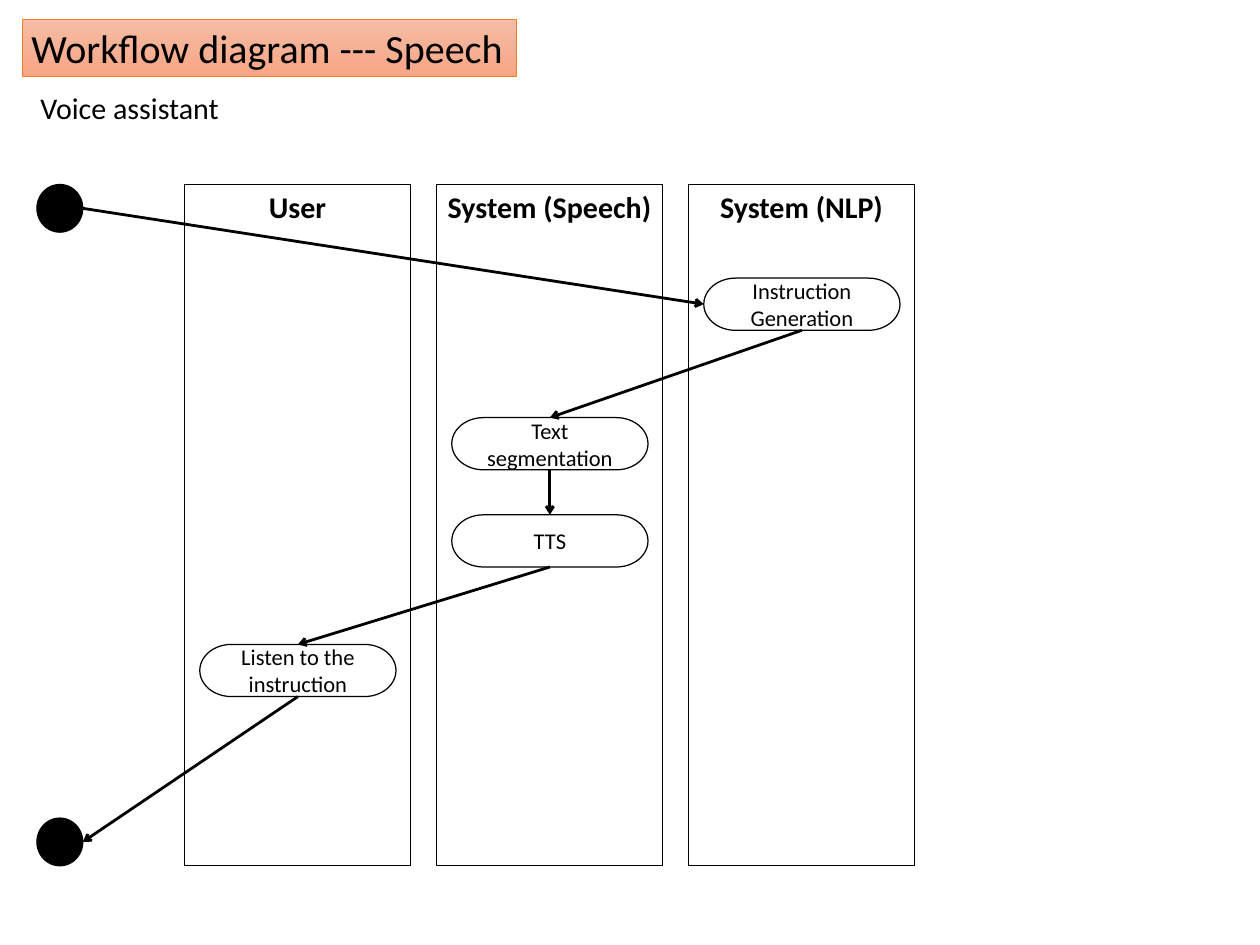
"""Builds a swimlane workflow slide for a voice assistant."""
import copy

from lxml import etree
from pptx import Presentation
from pptx.dml.color import RGBColor
from pptx.enum import shapes, text
from pptx.oxml import ns
from pptx.util import Inches, Pt

BLACK, WHITE, ORANGE = "000000", "FFFFFF", "ED7D31"
LANE_LEFT, LANE_PITCH, LANE_TOP = 2.05, 2.8, 2.05
LANE_WIDTH, LANE_HEIGHT = 2.51, 7.57
STEP_INSET, STEP_WIDTH, STEP_HEIGHT = 0.17, 2.18, 0.58
DOT_LEFT, DOT_WIDTH, DOT_HEIGHT = 0.41, 0.51, 0.53
LANES = ["User", "System (Speech)", "System (NLP)"]
STEPS = [
    (2, 3.09, "Instruction\nGeneration"),
    (1, 4.64, "Text segmentation"),
    (1, 5.72, "TTS"),
    (0, 7.16, "Listen to the instruction"),
]


def color(value):
    """Return the colour for a hex string."""
    return RGBColor.from_string(value)


def write(shape, content, size, bold=False, align=text.PP_ALIGN.CENTER,
          anchor=text.MSO_ANCHOR.TOP, wrap=True):
    """Put formatted text into a shape."""
    frame = shape.text_frame
    frame.text = content
    frame.word_wrap = wrap
    frame.vertical_anchor = anchor
    if not wrap:
        frame.auto_size = text.MSO_AUTO_SIZE.SHAPE_TO_FIT_TEXT
    for para in frame.paragraphs:
        para.alignment = align
        for span in para.runs:
            span.font.name = "Calibri"
            span.font.size = Pt(size)
            span.font.bold = bold
            span.font.color.rgb = color(BLACK)


def add_box(page, kind, left, top, width, height, fill=WHITE, line=BLACK, weight=1):
    """Add a filled and outlined preset shape without shadow."""
    box = page.shapes.add_shape(
        kind, Inches(left), Inches(top), Inches(width), Inches(height))
    box.shadow.inherit = False
    box.fill.solid()
    box.fill.fore_color.rgb = color(fill)
    box.line.color.rgb = color(line)
    box.line.width = Pt(weight)
    return box


def shade(box, start, middle, end):
    """Fill a box with a three-stop gradient from top to bottom."""
    box.fill.gradient()
    box.fill.gradient_angle = 270
    stops = box.element.spPr.find(ns.qn("a:gradFill")).find(ns.qn("a:gsLst"))
    stops.insert(1, copy.deepcopy(stops[0]))
    for stop, value, position in zip(
            box.fill.gradient_stops, (start, middle, end), (0, 0.5, 1)):
        stop.color.rgb = color(value)
        stop.position = position


def add_heading(page):
    """Add the title banner and the subtitle."""
    banner = add_box(page, shapes.MSO_SHAPE.RECTANGLE, 0.25, 0.21, 5.49, 0.64,
                     line=ORANGE, weight=0.5)
    shade(banner, "F7BDA5", "F5B196", "F8A582")
    write(banner, "Workflow diagram --- Speech", 32,
          align=text.PP_ALIGN.LEFT, wrap=False)
    subtitle = page.shapes.add_textbox(
        Inches(0.34), Inches(0.94), Inches(2.2), Inches(0.5))
    write(subtitle, "Voice assistant", 24, wrap=False)


def add_lane(page, index, name):
    """Add one swimlane with its heading."""
    lane = add_box(page, shapes.MSO_SHAPE.RECTANGLE, LANE_LEFT + index * LANE_PITCH,
                   LANE_TOP, LANE_WIDTH, LANE_HEIGHT)
    write(lane, name, 24, bold=True)


def add_dot(page, top):
    """Add a start or end dot."""
    return add_box(page, shapes.MSO_SHAPE.OVAL, DOT_LEFT, top,
                   DOT_WIDTH, DOT_HEIGHT, fill=BLACK)


def add_step(page, lane, top, label):
    """Add one activity, centred in its lane."""
    left = LANE_LEFT + lane * LANE_PITCH + STEP_INSET
    step = add_box(page, shapes.MSO_SHAPE.FLOWCHART_TERMINATOR, left, top,
                   STEP_WIDTH, STEP_HEIGHT)
    write(step, label, 18, anchor=text.MSO_ANCHOR.MIDDLE)
    return step


def point(shape, across, down):
    """Return the place at the given fractions of a shape's width and height."""
    return (int(shape.left + across * shape.width),
            int(shape.top + down * shape.height))


def add_arrow(page, start, end):
    """Add a straight arrow between two points."""
    arrow = page.shapes.add_connector(shapes.MSO_CONNECTOR.STRAIGHT, *start, *end)
    arrow.line.color.rgb = color(BLACK)
    arrow.line.width = Pt(2.25)
    outline = arrow.element.spPr.find(ns.qn("a:ln"))
    etree.SubElement(outline, ns.qn("a:tailEnd"), type="arrow")
    etree.SubElement(arrow.element.spPr, ns.qn("a:effectLst"))


def main():
    """Build and save the slide."""
    deck = Presentation()
    deck.slide_width, deck.slide_height = Inches(14), Inches(10.5)
    page = deck.slides.add_slide(deck.slide_layouts[6])
    add_heading(page)
    for index, name in enumerate(LANES):
        add_lane(page, index, name)
    first = add_dot(page, LANE_TOP)
    last = add_dot(page, LANE_TOP + LANE_HEIGHT - DOT_HEIGHT)
    steps = [add_step(page, *step) for step in STEPS]
    add_arrow(page, point(first, 1, 0.5), point(steps[0], 0, 0.5))
    for source, target in zip(steps, steps[1:]):
        add_arrow(page, point(source, 0.5, 1), point(target, 0.5, 0))
    add_arrow(page, point(steps[-1], 0.5, 1), point(last, 1, 0.5))
    deck.save("out.pptx")


if __name__ == "__main__":
    main()
